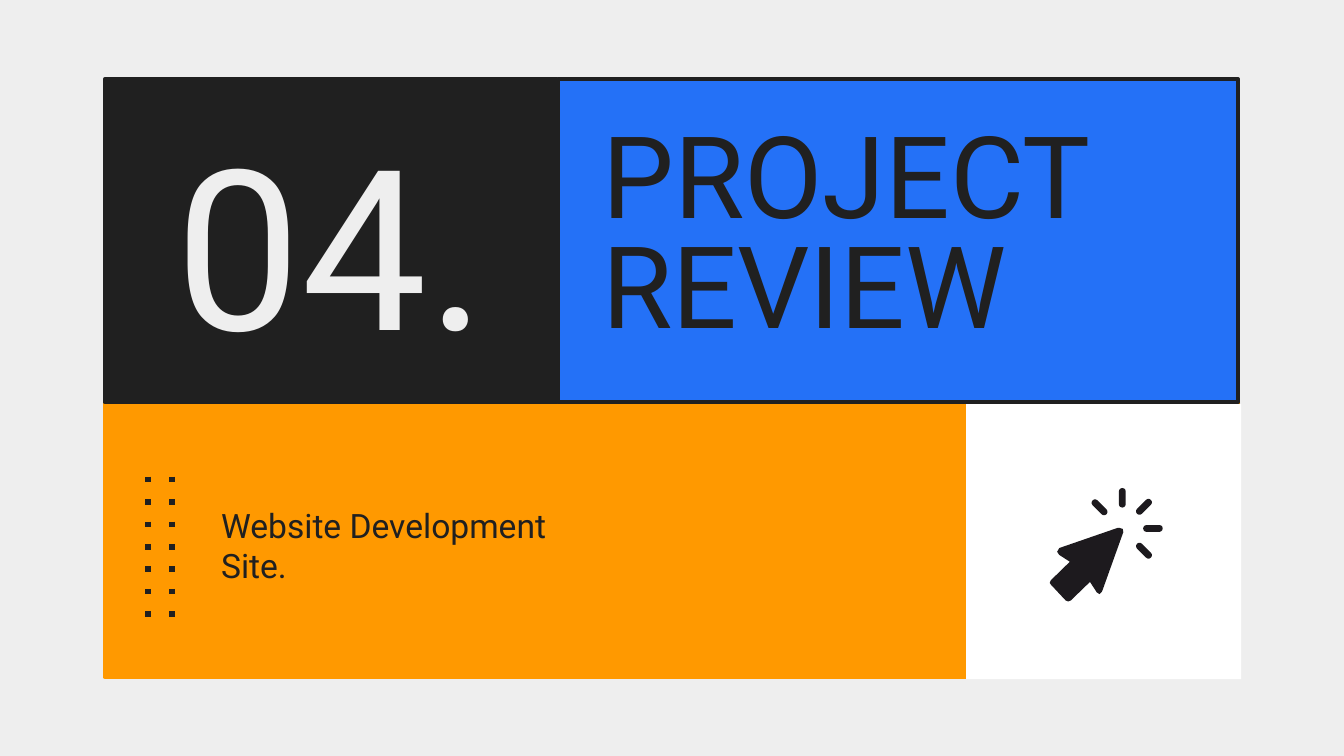
from lxml import etree
from pptx import Presentation
from pptx import util as u
from pptx.dml.color import RGBColor
from pptx.enum import shapes, text
from pptx.oxml.ns import qn

INK, PAPER, ICON = "202020", "EEEEEE", "1D1A1E"


def color(value):
    return RGBColor.from_string(value)


def style(shape, fill, line=None):
    shape.shadow.inherit = False
    shape.fill.solid()
    shape.fill.fore_color.rgb = color(fill)
    if line:
        shape.line.color.rgb = color(line)
        shape.line.width = u.Pt(2.25)
    else:
        shape.line.fill.background()


presentation = Presentation()
presentation.slide_width = u.Cm(25.4)
presentation.slide_height = u.Cm(14.29)
slide = presentation.slides.add_slide(presentation.slide_layouts[6])
slide.background.fill.solid()
slide.background.fill.fore_color.rgb = color(PAPER)

panels = [
    (1.98, 7.6, 21.42, 5.2, "FF9900", "FF9900"),
    (18.26, 7.64, 5.2, 5.2, "FFFFFF", None),
    (10.54, 1.5, 12.86, 6.1, "2471F7", INK),
    (1.98, 1.5, 8.54, 6.1, INK, INK),
]
for left, top, width, height, fill, line in panels:
    panel = slide.shapes.add_shape(
        shapes.MSO_SHAPE.RECTANGLE, u.Cm(left), u.Cm(top), u.Cm(width), u.Cm(height))
    style(panel, fill, line)
number = panel

for left in (2.8, 3.25):
    dots = slide.shapes.add_connector(
        shapes.MSO_CONNECTOR.STRAIGHT, u.Cm(left), u.Cm(9.01), u.Cm(left), u.Cm(11.68))
    dots.line.color.rgb = color(INK)
    dots.line.width = u.Pt(3)
    etree.SubElement(dots.line._get_or_add_ln(), qn("a:prstDash"), val="dot")
    etree.SubElement(dots._element.spPr, qn("a:effectLst"))

title = slide.shapes.add_textbox(u.Cm(11.14), u.Cm(1.5), u.Cm(12.3), u.Cm(6.1))
subtitle = slide.shapes.add_textbox(u.Cm(3.93), u.Cm(7.79), u.Cm(7.8), u.Cm(5.03))
labels = [
    (number, "04.", 120, PAPER, text.PP_ALIGN.CENTER, 1.0),
    (title, "PROJECT REVIEW", 61, INK, text.PP_ALIGN.LEFT, 0.8),
    (subtitle, "Website Development Site.", 18, INK, text.PP_ALIGN.LEFT, 1.0),
]
for shape, words, size, ink, alignment, spacing in labels:
    frame = shape.text_frame
    frame.word_wrap = True
    frame.vertical_anchor = text.MSO_ANCHOR.MIDDLE
    frame.margin_left = frame.margin_right = u.Cm(0.25)
    frame.margin_top = frame.margin_bottom = u.Cm(0.25)
    paragraph = frame.paragraphs[0]
    paragraph.text = words
    paragraph.alignment = alignment
    paragraph.line_spacing = spacing
    paragraph.font.name = "Roboto"
    paragraph.font.size = u.Pt(size)
    paragraph.font.color.rgb = color(ink)

outline = [
    (21.16, 9.98), (21.12, 9.98), (20.02, 10.36), (19.98, 10.43), (20.02, 10.49),
    (20.22, 10.62), (19.86, 10.97), (19.84, 11.02), (19.86, 11.05), (20.14, 11.35),
    (20.19, 11.37), (20.24, 11.35), (20.6, 11), (20.73, 11.2), (20.78, 11.23),
    (20.83, 11.18), (21.23, 10.06), (21.22, 10),
]
points = [(u.Cm(x), u.Cm(y)) for x, y in outline]
builder = slide.shapes.build_freeform(*points[0])
builder.add_line_segments(points[1:], close=True)
cursor = builder.convert_to_shape()
style(cursor, ICON)

length, thickness = 0.37, 0.13
rays = [(21.21, 9.41, 90), (21.79, 9.99, 0), (20.78, 9.59, 45),
        (21.62, 9.58, -45), (21.62, 10.41, 45)]
for x, y, angle in rays:
    ray = slide.shapes.add_shape(
        shapes.MSO_SHAPE.ROUNDED_RECTANGLE, u.Cm(x - length / 2),
        u.Cm(y - thickness / 2), u.Cm(length), u.Cm(thickness))
    ray.adjustments[0] = 0.5
    ray.rotation = angle
    style(ray, ICON)

presentation.save("out.pptx")
